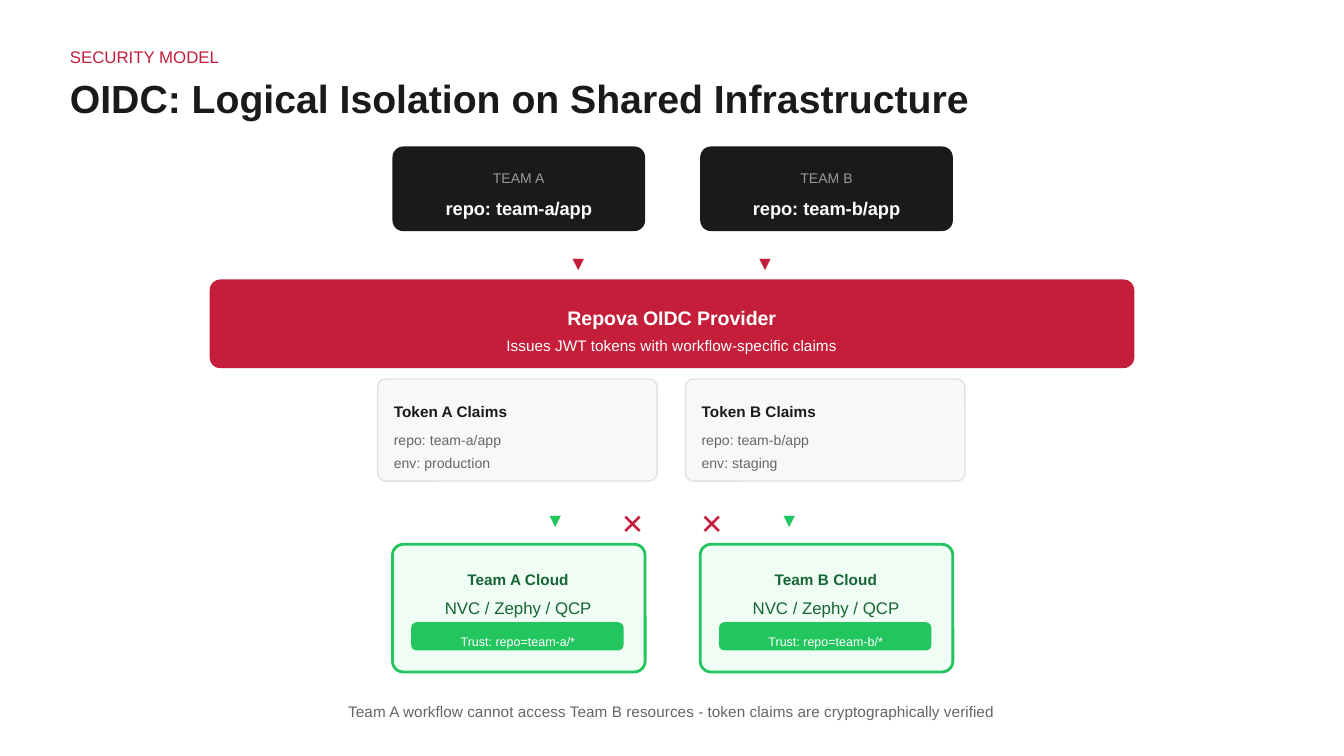
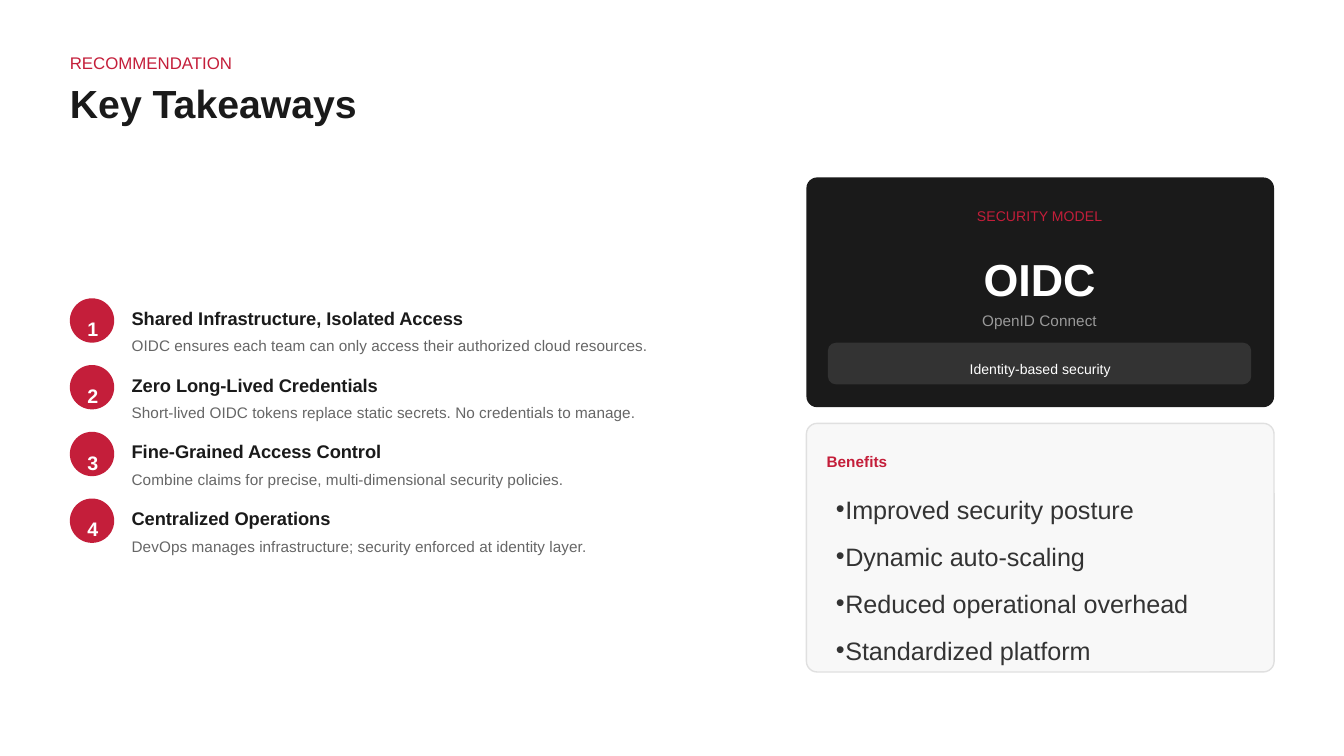
import pptx
import pptx.dml.color
import pptx.enum.shapes
import pptx.enum.text
import pptx.oxml
import pptx.oxml.ns
import pptx.util
from pptx.util import Inches

FONT = "Arial"
RED, DARK, WHITE = "C41E3A", "1A1A1A", "FFFFFF"
GREY, LIGHT_GREY, CHARCOAL = "666666", "999999", "333333"
PANEL, PANEL_LINE = "F8F8F8", "E0E0E0"
GREEN, PALE_GREEN, DARK_GREEN = "22C55E", "F0FDF4", "166534"
rgb = pptx.dml.color.RGBColor.from_string


def add_text(s, text, x, y, w, h, size, color, bold=False, align="LEFT",
             spacing=1.4, inset=0, bullet=None, sp=None):
    """Write text, one paragraph per line, into a new text box or the given placeholder."""
    if sp is None:
        sp = s.shapes.add_textbox(0, 0, 0, 0)
    sp.left, sp.top, sp.width, sp.height = Inches(x), Inches(y), Inches(w), Inches(h)
    tf = sp.text_frame
    tf.word_wrap = True
    tf.auto_size = pptx.enum.text.MSO_AUTO_SIZE.NONE
    tf.vertical_anchor = pptx.enum.text.MSO_ANCHOR.TOP
    tf.margin_left = Inches(inset)
    tf.margin_top = tf.margin_right = tf.margin_bottom = 0
    tf.text = text
    for p in tf.paragraphs:
        p.alignment = pptx.enum.text.PP_ALIGN[align]
        p.line_spacing = spacing
        p.space_before = pptx.util.Pt(0)
        font = p.runs[0].font
        font.name, font.size, font.bold = FONT, pptx.util.Pt(size), bold
        font.color.rgb = rgb(color)
        if bullet:
            pPr = p._p.get_or_add_pPr()
            pPr.set("marL", str(Inches(0.07)))
            pPr.set("indent", str(Inches(-0.09)))
            ns = pptx.oxml.ns.nsdecls("a")
            for xml in (f'<a:buClr {ns}><a:srgbClr val="{color}"/></a:buClr>',
                        f'<a:buFont {ns} typeface="{FONT}"/>',
                        f'<a:buChar {ns} char="{bullet}"/>'):
                pPr.append(pptx.oxml.parse_xml(xml))


def add_box(s, x, y, w, h, radius, fill, line=None, line_width=0.75):
    """Add a rounded rectangle with a corner radius in inches."""
    sp = s.shapes.add_shape(pptx.enum.shapes.MSO_SHAPE.ROUNDED_RECTANGLE,
                            Inches(x), Inches(y), Inches(w), Inches(h))
    sp.shadow.inherit = False
    sp.adjustments[0] = min(0.5, radius / min(w, h))
    sp.fill.solid()
    sp.fill.fore_color.rgb = rgb(fill)
    if line:
        sp.line.color.rgb = rgb(line)
        sp.line.width = pptx.util.Pt(line_width)
    else:
        sp.line.fill.background()


prs = pptx.Presentation()
prs.slide_width, prs.slide_height = Inches(10), Inches(10 * 9 / 16)

# Shared headers
headers = [
    ("SECURITY MODEL", "OIDC: Logical Isolation on Shared Infrastructure", 0.29, 6.83),
    ("RECOMMENDATION", "Key Takeaways", 0.33, 4.58),
]
for section, title, top, width in headers:
    s = prs.slides.add_slide(prs.slide_layouts[5])
    s.background.fill.solid()
    s.background.fill.fore_color.rgb = rgb(WHITE)
    add_text(s, section, 0.52, top, 9.14, 0.17, 9, RED)
    add_text(s, title, 0.52, top + 0.26, width, 0.29, 21, DARK, bold=True,
             spacing=1.0, sp=s.shapes.title)

# Slide 1: isolation diagram
s = prs.slides[0]
add_box(s, 1.56, 2.08, 6.88, 0.66, 0.08, RED)
add_text(s, "Repova OIDC Provider", 1.75, 2.21, 6.5, 0.2, 10.5, WHITE, bold=True, align="CENTER")
add_text(s, "Issues JWT tokens with workflow-specific claims", 1.75, 2.45, 6.5, 0.16,
         8.25, WHITE, align="CENTER")

teams = [("A", 2.92, "production"), ("B", 5.21, "staging")]
for team, x, env in teams:
    slug = f"team-{team.lower()}"
    add_box(s, x, 1.09, 1.88, 0.63, 0.08, DARK)
    add_text(s, f"TEAM {team}", x + 0.11, 1.21, 1.66, 0.15, 7.5, LIGHT_GREY, align="CENTER")
    add_text(s, f"repo: {slug}/app", x + 0.11, 1.4, 1.66, 0.19, 9.75, WHITE,
             bold=True, align="CENTER")

    add_box(s, x - 0.11, 2.82, 2.08, 0.76, 0.06, PANEL, PANEL_LINE)
    add_text(s, f"Token {team} Claims", x + 0.01, 2.94, 1.89, 0.16, 8.25, DARK, bold=True)
    add_text(s, f"repo: {slug}/app", x + 0.01, 3.16, 1.89, 0.15, 7.5, GREY)
    add_text(s, f"env: {env}", x + 0.01, 3.33, 1.89, 0.15, 7.5, GREY)

    add_box(s, x, 4.05, 1.88, 0.95, 0.08, PALE_GREEN, GREEN, 1.5)
    add_text(s, f"Team {team} Cloud", x + 0.13, 4.19, 1.61, 0.16, 8.25, DARK_GREEN,
             bold=True, align="CENTER")
    add_text(s, "NVC / Zephy / QCP", x + 0.13, 4.39, 1.61, 0.17, 9, DARK_GREEN, align="CENTER")
    add_box(s, x + 0.14, 4.63, 1.58, 0.21, 0.04, GREEN)
    add_text(s, f"Trust: repo={slug}/*", x + 0.21, 4.67, 1.45, 0.13, 6.75, WHITE, align="CENTER")

for x, y, color in [(4.23, 1.8, RED), (5.62, 1.8, RED), (4.06, 3.71, GREEN), (5.8, 3.71, GREEN)]:
    add_text(s, "▼", x, y, 0.15, 0.2, 10.5, color)
for x in (4.62, 5.21):
    add_text(s, "✕", x, 3.67, 0.18, 0.29, 15, RED, bold=True)

add_text(s, "Team A workflow cannot access Team B resources - token claims are "
         "cryptographically verified", 0.43, 5.17, 9.14, 0.16, 8.25, GREY, align="CENTER")

# Slide 2: numbered takeaways
s = prs.slides[1]
takeaways = [
    ("Shared Infrastructure, Isolated Access",
     "OIDC ensures each team can only access their authorized cloud resources."),
    ("Zero Long-Lived Credentials",
     "Short-lived OIDC tokens replace static secrets. No credentials to manage."),
    ("Fine-Grained Access Control",
     "Combine claims for precise, multi-dimensional security policies."),
    ("Centralized Operations",
     "DevOps manages infrastructure; security enforced at identity layer."),
]
first_top, last_top = 2.22, 3.71
for i, (heading, detail) in enumerate(takeaways):
    y = first_top + i * (last_top - first_top) / (len(takeaways) - 1)
    add_box(s, 0.52, y, 0.33, 0.33, 0.17, RED)
    add_text(s, str(i + 1), 0.65, y + 0.07, 0.08, 0.2, 10.5, WHITE, bold=True)
    add_text(s, heading, 0.98, y, 4.86, 0.19, 9.75, DARK, bold=True)
    add_text(s, detail, 0.98, y + 0.23, 4.86, 0.16, 8.25, GREY)

# Security model card
add_box(s, 6, 1.32, 3.48, 1.71, 0.08, DARK)
add_text(s, "SECURITY MODEL", 6.13, 1.49, 3.21, 0.15, 7.5, RED, align="CENTER")
add_text(s, "OIDC", 6.13, 1.71, 3.21, 0.47, 24, WHITE, bold=True, align="CENTER")
add_text(s, "OpenID Connect", 6.13, 2.26, 3.21, 0.16, 8.25, LIGHT_GREY, align="CENTER")
add_box(s, 6.16, 2.55, 3.15, 0.31, 0.06, CHARCOAL)
add_text(s, "Identity-based security", 6.22, 2.63, 3.04, 0.15, 7.5, WHITE, align="CENTER")

# Benefits card
benefits = ["Improved security posture", "Dynamic auto-scaling",
            "Reduced operational overhead", "Standardized platform"]
add_box(s, 6, 3.15, 3.48, 1.85, 0.08, PANEL, PANEL_LINE)
add_text(s, "Benefits", 6.15, 3.31, 3.23, 0.16, 8.25, RED, bold=True)
add_text(s, "\n".join(benefits), 6.15, 3.55, 3.17, 1.29, 13.5, CHARCOAL,
         spacing=1.56, inset=0.07, bullet="•")

prs.save("out.pptx")
